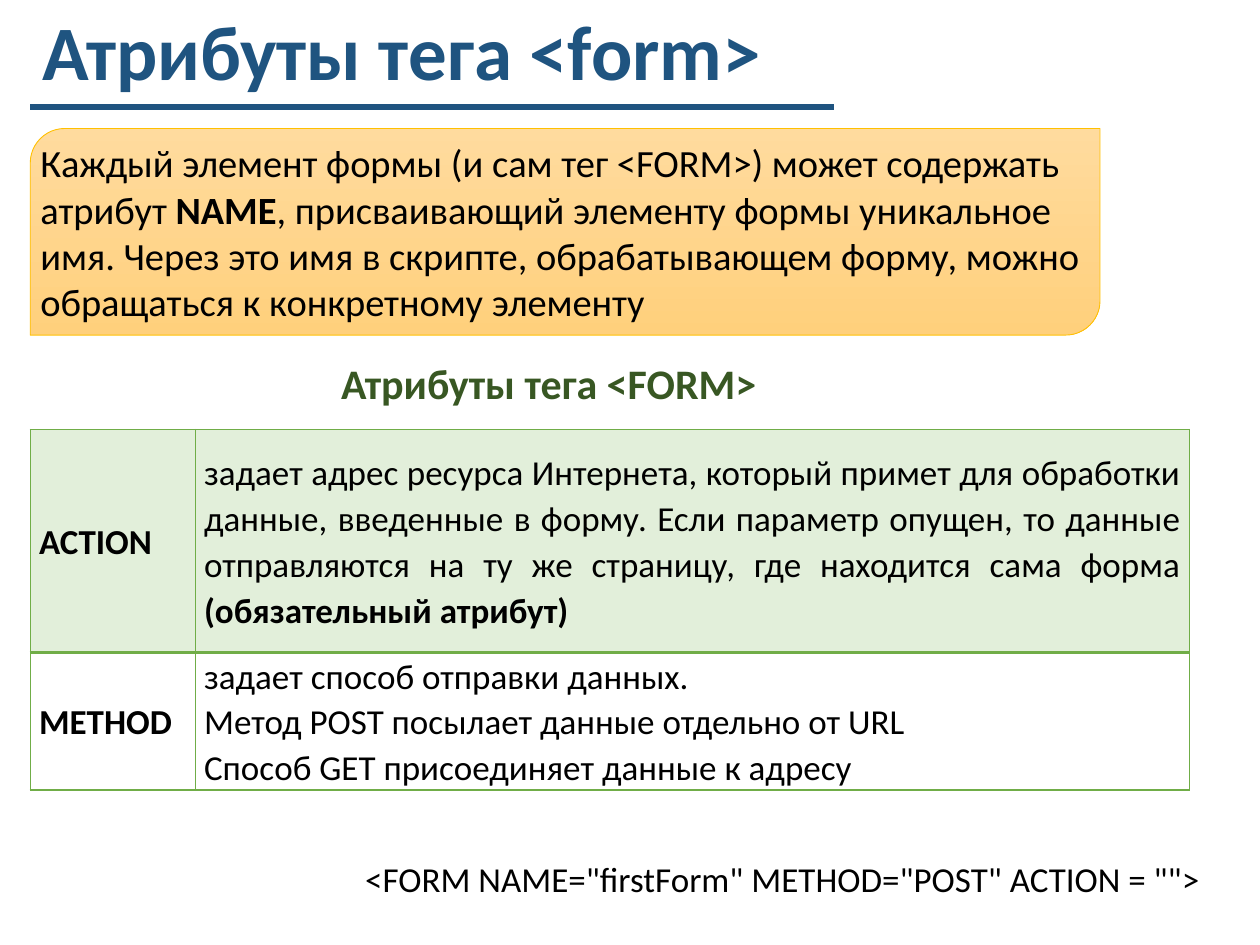
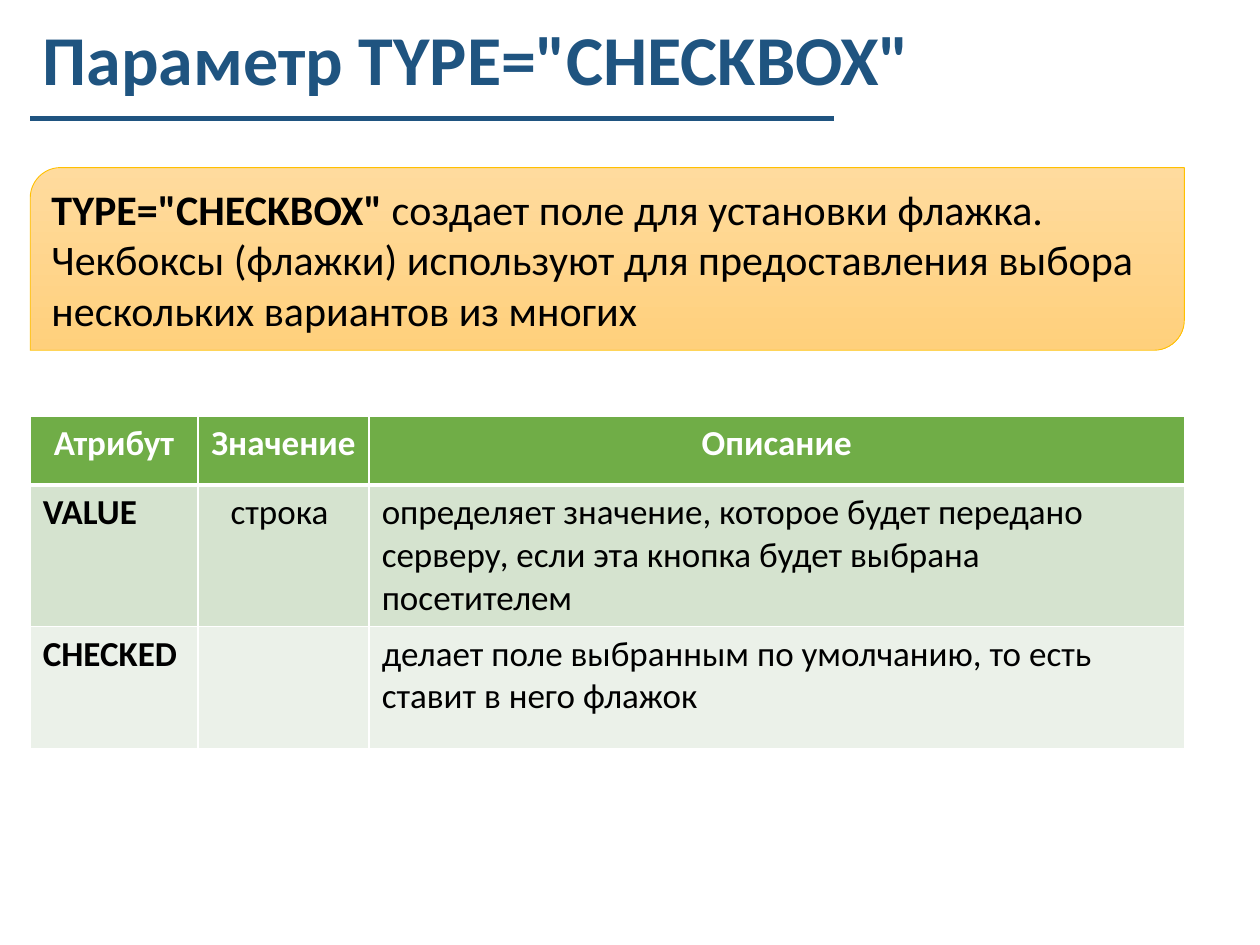
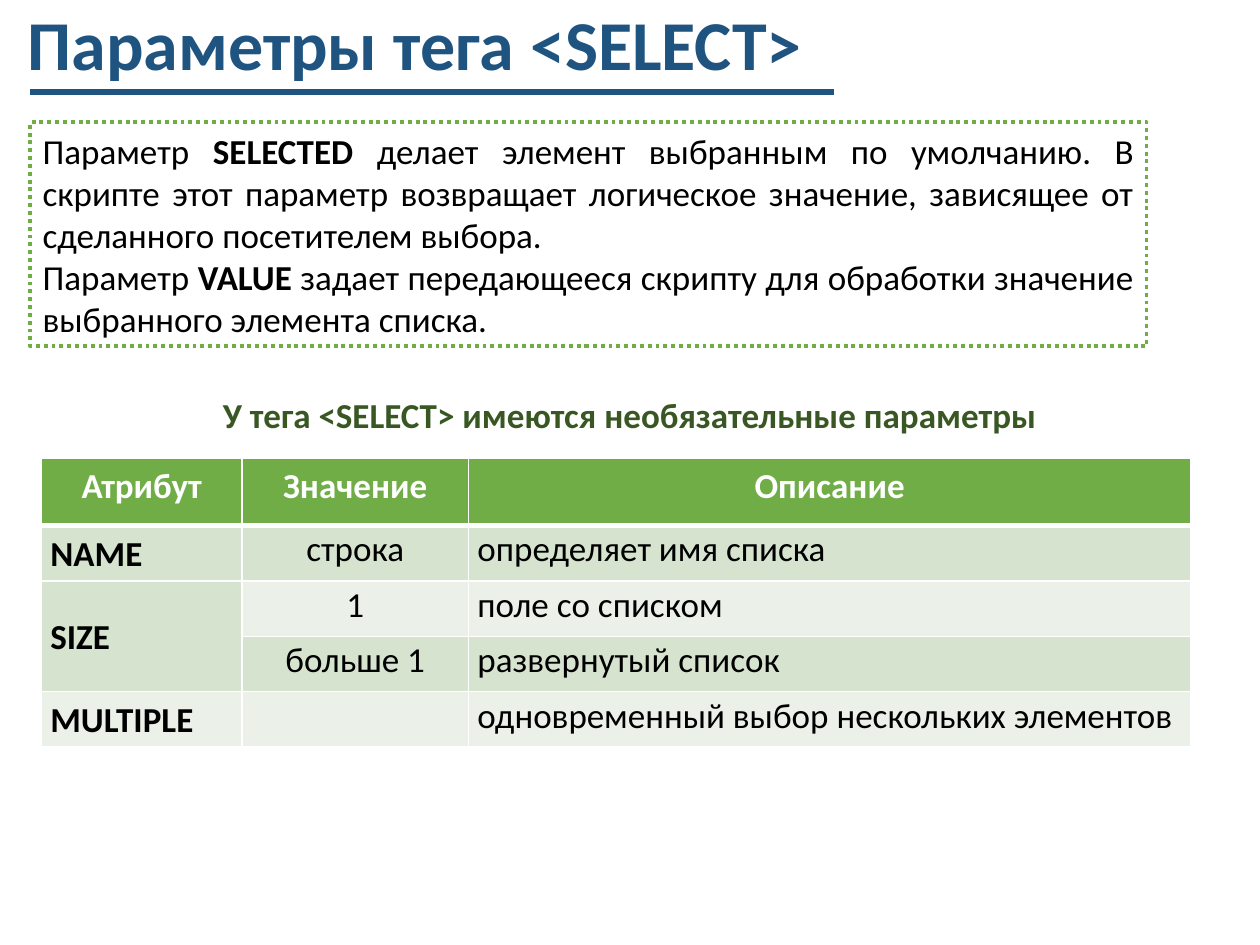
from pptx import Presentation
from pptx.dml.color import RGBColor
from pptx.enum.dml import MSO_LINE
from pptx.enum.shapes import MSO_CONNECTOR, MSO_SHAPE
from pptx.enum.text import MSO_ANCHOR, MSO_AUTO_SIZE, PP_ALIGN
from pptx.oxml.ns import qn
from pptx.util import Inches, Pt
from lxml import etree

LEFT, CENTER, JUSTIFY = PP_ALIGN.LEFT, PP_ALIGN.CENTER, PP_ALIGN.JUSTIFY
TOP, MIDDLE = MSO_ANCHOR.TOP, MSO_ANCHOR.MIDDLE

# Shared style
FONT = "Calibri"
BLUE, GREEN, DARK_GREEN = "1F5480", "70AD47", "385723"
BLACK, WHITE, GOLD = "000000", "FFFFFF", "FFC000"
GRADIENT = ("FFDB9E", "FFD07C")
BANDS = ("D5E3CF", "EBF1E9")
PALE_GREEN = "E2EFDA"
MARGIN, RULE_END = 0.24, 6.62
TIGHT = (0.07, 0, 0.07, 0)
NORMAL = (0.1, 0.05, 0.1, 0.05)
HEADER = ["Атрибут", "Значение", "Описание"]

# Content: **...** marks bold, None in a table continues the cell above
SLIDES = [
    dict(
        title=("Атрибуты тега <form>", 44, (MARGIN, 0.06, 7.54, 1.03)),
        rule_y=0.85,
        note=dict(
            at=(MARGIN, 1.02, 8.49, 1.64), size=22, margins=(0, 0, 0, 0),
            text=["Каждый элемент формы (и сам тег <FORM>) может содержать атрибут "
                  "**NAME**, присваивающий элементу формы уникальное имя. Через это имя "
                  "в скрипте, обрабатывающем форму, можно обращаться к конкретному "
                  "элементу"]),
        captions=[
            ("**Атрибуты тега <FORM>**", 24, DARK_GREEN, (2.61, 2.79, 4.46, 0.5)),
            ('<FORM NAME="firstForm" METHOD="POST" ACTION = "">', 20, BLACK,
             (2.8, 6.76, 7.03, 0.44))],
        table=dict(
            at=(MARGIN, 3.41), cols=(1.31, 7.89), heights=(1.77, 1.07),
            header=False, tight=True,
            rows=[
                ["ACTION",
                 "задает адрес ресурса Интернета, который примет для обработки данные, "
                 "введенные в форму. Если параметр опущен, то данные отправляются на ту "
                 "же страницу, где находится сама форма** (обязательный атрибут)**"],
                ["METHOD",
                 "задает способ отправки данных. \n"
                 "Метод POST посылает данные отдельно от URL\n"
                 "Способ GET присоединяет данные к адресу"]])),
    dict(
        title=('Параметр TYPE="CHECKBOX"', 40, (MARGIN, 0.15, 7.54, 1.03)),
        rule_y=0.94,
        note=dict(
            at=(MARGIN, 1.33, 9.16, 1.45), size=24, margins=NORMAL,
            text=['**TYPE="CHECKBOX" **создает поле для установки флажка.',
                  "Чекбоксы (флажки) используют для предоставления выбора нескольких "
                  "вариантов из многих"]),
        captions=[],
        table=dict(
            at=(MARGIN, 3.3), cols=(1.33, 1.36, 6.47), heights=(0.55, 1.1, 0.97),
            header=True, tight=False,
            rows=[
                HEADER,
                ["VALUE", "строка ",
                 "определяет значение, которое будет передано серверу, если эта кнопка "
                 "будет выбрана посетителем"],
                ["CHECKED", "",
                 "делает поле выбранным по умолчанию, то есть ставит в него флажок"]])),
    dict(
        title=("Параметры тега <SELECT>", 40, (0.12, 0.03, 6.51, 0.71)),
        rule_y=0.73,
        note=dict(
            at=(MARGIN, 0.97, 8.86, 1.78), size=20, margins=NORMAL, dotted=True,
            text=["Параметр **SELECTED** делает элемент выбранным по умолчанию. В скрипте "
                  "этот параметр возвращает логическое значение, зависящее от сделанного "
                  "посетителем выбора. ",
                  "Параметр **VALUE** задает передающееся скрипту для обработки значение "
                  "выбранного элемента списка."]),
        captions=[("**У тега <SELECT> имеются необязательные параметры**", 20, DARK_GREEN,
                   (1.67, 3.07, 6.71, 0.44))],
        table=dict(
            at=(0.33, 3.64), cols=(1.59, 1.8, 5.73), heights=(0.53,) + (0.44,) * 4,
            header=True, tight=True,
            rows=[
                HEADER,
                ["NAME", "строка", "определяет имя списка"],
                ["SIZE", "1", "поле со списком"],
                [None, "больше 1", "развернутый список"],
                ["MULTIPLE", "", "одновременный выбор нескольких элементов"]])),
]


def rgb(color):
    return RGBColor.from_string(color)


def inches(values):
    return [Inches(v) for v in values]


def write(tf, paragraphs, size, color=BLACK, align=LEFT, spacing=None):
    """Fill a text frame; every odd piece between ** marks is bold."""
    tf.word_wrap = True
    for i, text in enumerate(paragraphs):
        p = tf.paragraphs[0] if i == 0 else tf.add_paragraph()
        p.alignment = align
        if spacing:
            p.line_spacing = spacing
        p.font.size = Pt(size)
        for j, piece in enumerate(text.split("**")):
            if piece:
                r = p.add_run()
                r.text = piece
                r.font.name, r.font.size = FONT, Pt(size)
                r.font.bold = j % 2 == 1
                r.font.color.rgb = rgb(color)


def set_margins(target, margins):
    (target.margin_left, target.margin_top,
     target.margin_right, target.margin_bottom) = inches(margins)


def add_title(s, text, size, at):
    title = s.shapes.title
    title.left, title.top, title.width, title.height = inches(at)
    tf = title.text_frame
    tf.auto_size = MSO_AUTO_SIZE.NONE
    tf.vertical_anchor = TOP
    write(tf, [f"**{text}**"], size, BLUE, spacing=0.9)


def add_rule(s, y):
    line = s.shapes.add_connector(MSO_CONNECTOR.STRAIGHT,
                                  *inches((MARGIN, y, RULE_END, y)))
    line.line.color.rgb = rgb(BLUE)
    line.line.width = Pt(3)
    etree.SubElement(line._element.spPr, qn("a:effectLst"))


def add_note(s, at, size, margins, text, dotted=False):
    kind = MSO_SHAPE.RECTANGLE if dotted else MSO_SHAPE.ROUND_2_DIAG_RECTANGLE
    sp = s.shapes.add_shape(kind, *inches(at))
    sp.shadow.inherit = False
    if dotted:
        sp.fill.solid()
        sp.fill.fore_color.rgb = rgb(WHITE)
        sp.line.dash_style = MSO_LINE.ROUND_DOT
    else:
        sp.fill.gradient()
        sp.fill.gradient_angle = 270
        for stop, color in zip(sp.fill.gradient_stops, GRADIENT):
            stop.color.rgb = rgb(color)
    sp.line.color.rgb = rgb(GREEN if dotted else GOLD)
    sp.line.width = Pt(2.25 if dotted else 0.5)
    tf = sp.text_frame
    set_margins(tf, margins)
    tf.vertical_anchor = MIDDLE
    write(tf, text, size, align=JUSTIFY if dotted else LEFT)


def set_borders(cell, color, top, bottom):
    tcPr = cell._tc.get_or_add_tcPr()
    widths = (("L", 1), ("R", 1), ("T", top), ("B", bottom))
    for i, (side, width) in enumerate(widths):
        ln = etree.Element(qn(f"a:ln{side}"), w=str(Pt(width)))
        fill = etree.SubElement(ln, qn("a:solidFill"))
        etree.SubElement(fill, qn("a:srgbClr"), val=color)
        tcPr.insert(i, ln)


def add_grid(s, at, cols, heights, header, tight, rows):
    table = s.shapes.add_table(len(rows), len(cols), *inches(at),
                               *inches((sum(cols), sum(heights)))).table
    for col, width in zip(table.columns, cols):
        col.width = Inches(width)
    for row, height in zip(table.rows, heights):
        row.height = Inches(height)
    border, heavy = (WHITE, 3) if header else (GREEN, 2)

    for i, row in enumerate(rows):
        for j, text in enumerate(row):
            cell = table.cell(i, j)
            is_head = header and i == 0
            merged = text is None or (i + 1 < len(rows) and rows[i + 1][j] is None)
            if is_head:
                fill = GREEN
            elif header:
                fill = BANDS[0] if merged else BANDS[(i - 1) % 2]
            else:
                fill = (PALE_GREEN, WHITE)[i]
            cell.fill.solid()
            cell.fill.fore_color.rgb = rgb(fill)
            set_borders(cell, border, heavy if i == 1 else 1, heavy if i == 0 else 1)
            if text is None:
                table.cell(i - 1, j).merge(cell)
                continue
            if not text:
                continue
            dense = tight and not is_head
            set_margins(cell, TIGHT if dense else NORMAL)
            cell.vertical_anchor = MIDDLE if dense and (j == 0 or not header) else TOP
            centered = is_head or (header and j == 1)
            align = CENTER if centered else JUSTIFY if dense else LEFT
            if is_head or j == 0:
                text = f"**{text}**"
            write(cell.text_frame, text.split("\n"), 20, WHITE if is_head else BLACK,
                  align, 1.07 if dense else None)


def main():
    prs = Presentation()
    prs.slide_width, prs.slide_height = Inches(10), Inches(7.5)
    title_only = prs.slide_layouts[5]
    for content in SLIDES:
        s = prs.slides.add_slide(title_only)
        add_title(s, *content["title"])
        add_rule(s, content["rule_y"])
        add_note(s, **content["note"])
        add_grid(s, **content["table"])
        for text, size, color, at in content["captions"]:
            write(s.shapes.add_textbox(*inches(at)).text_frame, [text], size, color)
    prs.save("out.pptx")


if __name__ == "__main__":
    main()
